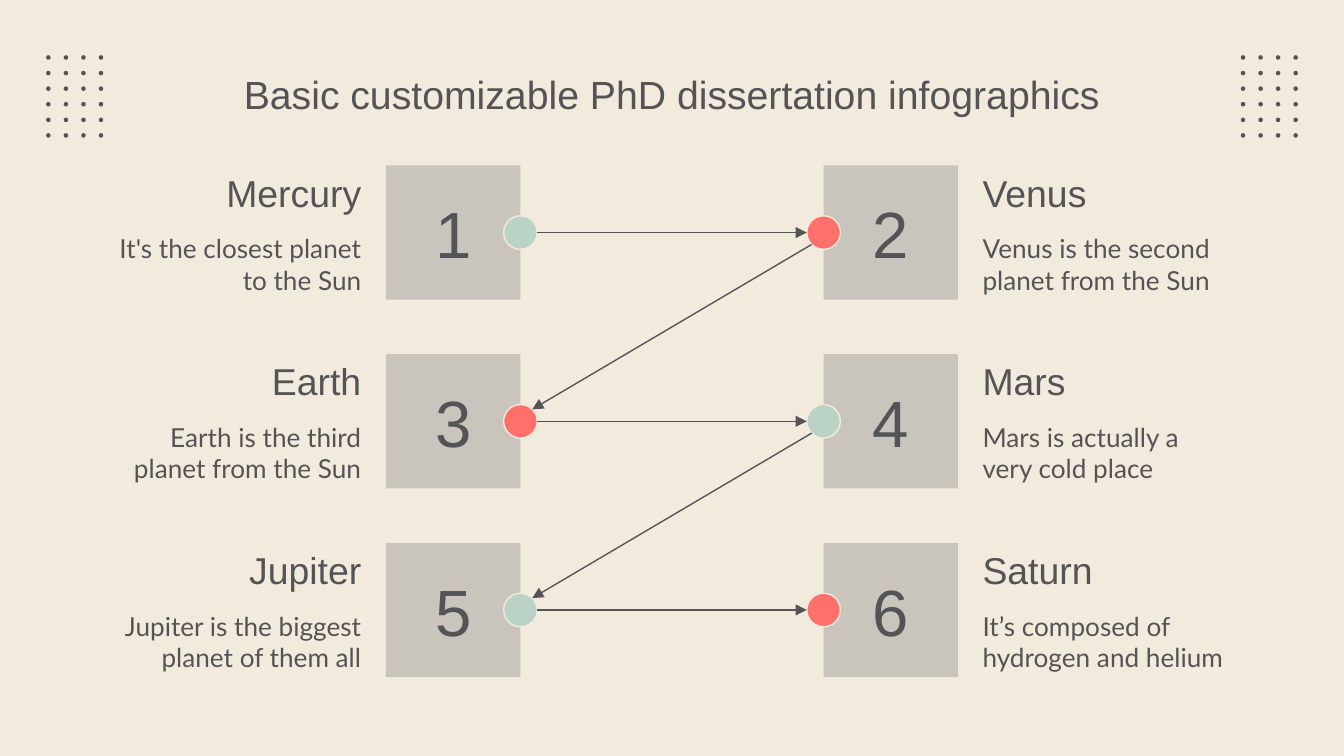
"""Build a slide that links six numbered planets in a zigzag of arrows."""
from itertools import pairwise, product
from math import sqrt

from lxml import etree
from pptx import Presentation
from pptx.dml.color import RGBColor
from pptx.enum.shapes import MSO_CONNECTOR, MSO_SHAPE
from pptx.enum.text import MSO_ANCHOR, PP_ALIGN
from pptx.oxml.ns import qn
from pptx.util import Pt

RECTANGLE, OVAL = MSO_SHAPE.RECTANGLE, MSO_SHAPE.OVAL
STRAIGHT = MSO_CONNECTOR.STRAIGHT
TOP, MIDDLE = MSO_ANCHOR.TOP, MSO_ANCHOR.MIDDLE
LEFT, CENTER, RIGHT = PP_ALIGN.LEFT, PP_ALIGN.CENTER, PP_ALIGN.RIGHT

TITLE = "Basic customizable PhD dissertation infographics"
PLANETS = [
    ("Mercury", "It's the closest planet to the Sun", "BBD3C7"),
    ("Venus", "Venus is the second planet from the Sun", "FF706B"),
    ("Earth", "Earth is the third planet from the Sun", "FF706B"),
    ("Mars", "Mars is actually a very cold place", "BBD3C7"),
    ("Jupiter", "Jupiter is the biggest planet of them all", "BBD3C7"),
    ("Saturn", "It’s composed of hydrogen and helium", "FF706B"),
]
INK, PAPER, SQUARE_FILL = "545457", "F2EADD", "CAC5BC"
FORMATS = {
    "title": {"name": "Arial", "size": Pt(21)},
    "heading": {"name": "Arial", "size": Pt(20)},
    "body": {"name": "Lato", "size": Pt(14)},
    "number": {"name": "Arial", "size": Pt(35)},
}

WIDTH, HEIGHT = 720, 405
MARGIN, TEXT_WIDTH, INSET = 56.7, 144, 7.2
HEADING_HEIGHT, BODY_HEIGHT = 28.8, 43.2
SQUARE, SQUARE_LEFT = 72, 206.8
ROW_TOP, ROW_STEP = 88.6, 101.1
RADIUS = 9
DOT, DOT_LEFT, DOT_TOP, DOT_STEP_X, DOT_STEP_Y = 2.4, 24.7, 29.6, 9.4, 8.35
DOT_COLUMNS, DOT_ROWS = 4, 6


def color(value):
    return RGBColor.from_string(value)


def points(*values):
    return [Pt(value) for value in values]


def add_shape(shapes, kind, place, fill, line=None):
    shape = shapes.add_shape(kind, *points(*place))
    shape.shadow.inherit = False
    shape.fill.solid()
    shape.fill.fore_color.rgb = color(fill)
    if line:
        shape.line.color.rgb = color(line)
        shape.line.width = Pt(0.75)
    else:
        shape.line.fill.background()
    return shape


def write(box, text, style, align, anchor=MIDDLE, inset_top=INSET):
    frame = box.text_frame
    settings = {
        "word_wrap": True, "vertical_anchor": anchor,
        "margin_left": Pt(INSET), "margin_right": Pt(INSET),
        "margin_top": Pt(inset_top), "margin_bottom": Pt(INSET),
    }
    for name, value in settings.items():
        setattr(frame, name, value)
    paragraph = frame.paragraphs[0]
    paragraph.alignment = align
    span = paragraph.add_run()
    span.text = text
    for name, value in FORMATS[style].items():
        setattr(span.font, name, value)
    span.font.color.rgb = color(INK)


def add_arrow(shapes, start, end):
    arrow = shapes.add_connector(STRAIGHT, *points(*start, *end))
    arrow.line.color.rgb = color(INK)
    arrow.line.width = Pt(0.75)
    etree.SubElement(arrow.line._get_or_add_ln(), qn("a:tailEnd"), type="triangle")
    etree.SubElement(arrow._element.spPr, qn("a:effectLst"))


def add_dots(shapes, left):
    group = shapes.add_group_shape()
    for row, column in product(range(DOT_ROWS), range(DOT_COLUMNS)):
        place = (left + column * DOT_STEP_X, DOT_TOP + row * DOT_STEP_Y, DOT, DOT)
        add_shape(group.shapes, OVAL, place, INK)


def add_planet(shapes, index, name, fact, accent):
    row, on_right = divmod(index, 2)
    top = ROW_TOP + row * ROW_STEP
    text_left = WIDTH - MARGIN - TEXT_WIDTH if on_right else MARGIN
    square_left = WIDTH - SQUARE_LEFT - SQUARE if on_right else SQUARE_LEFT
    align = LEFT if on_right else RIGHT
    heading = shapes.add_textbox(*points(text_left, top, TEXT_WIDTH, HEADING_HEIGHT))
    write(heading, name, "heading", align)
    body = shapes.add_textbox(
        *points(text_left, top + HEADING_HEIGHT, TEXT_WIDTH, BODY_HEIGHT))
    write(body, fact, "body", align, TOP)
    square = add_shape(shapes, RECTANGLE, (square_left, top, SQUARE, SQUARE), SQUARE_FILL)
    write(square, str(index + 1), "number", CENTER)
    x = square_left if on_right else square_left + SQUARE
    y = top + SQUARE / 2
    place = (x - RADIUS, y - RADIUS, 2 * RADIUS, 2 * RADIUS)
    add_shape(shapes, OVAL, place, accent, PAPER)
    return x, y


def link(shapes, start, end):
    (x1, y1), (x2, y2) = start, end
    if y1 == y2:
        shift_x, shift_y = RADIUS, 0
    else:
        shift_x, shift_y = -RADIUS / sqrt(2), RADIUS / sqrt(2)
    add_arrow(shapes, (x1 + shift_x, y1 + shift_y), (x2 - shift_x, y2 - shift_y))


def main():
    deck = Presentation()
    deck.slide_width, deck.slide_height = points(WIDTH, HEIGHT)
    page = deck.slides.add_slide(deck.slide_layouts[6])
    page.background.fill.solid()
    page.background.fill.fore_color.rgb = color(PAPER)
    shapes = page.shapes

    dots_width = (DOT_COLUMNS - 1) * DOT_STEP_X + DOT
    for left in (DOT_LEFT, WIDTH - DOT_LEFT - dots_width):
        add_dots(shapes, left)
    title = shapes.add_textbox(*points(MARGIN, 28.8, WIDTH - 2 * MARGIN, 45.4))
    write(title, TITLE, "title", CENTER, inset_top=5)

    centers = [add_planet(shapes, index, *planet) for index, planet in enumerate(PLANETS)]
    for start, end in pairwise(centers):
        link(shapes, start, end)
    deck.save("out.pptx")


if __name__ == "__main__":
    main()
